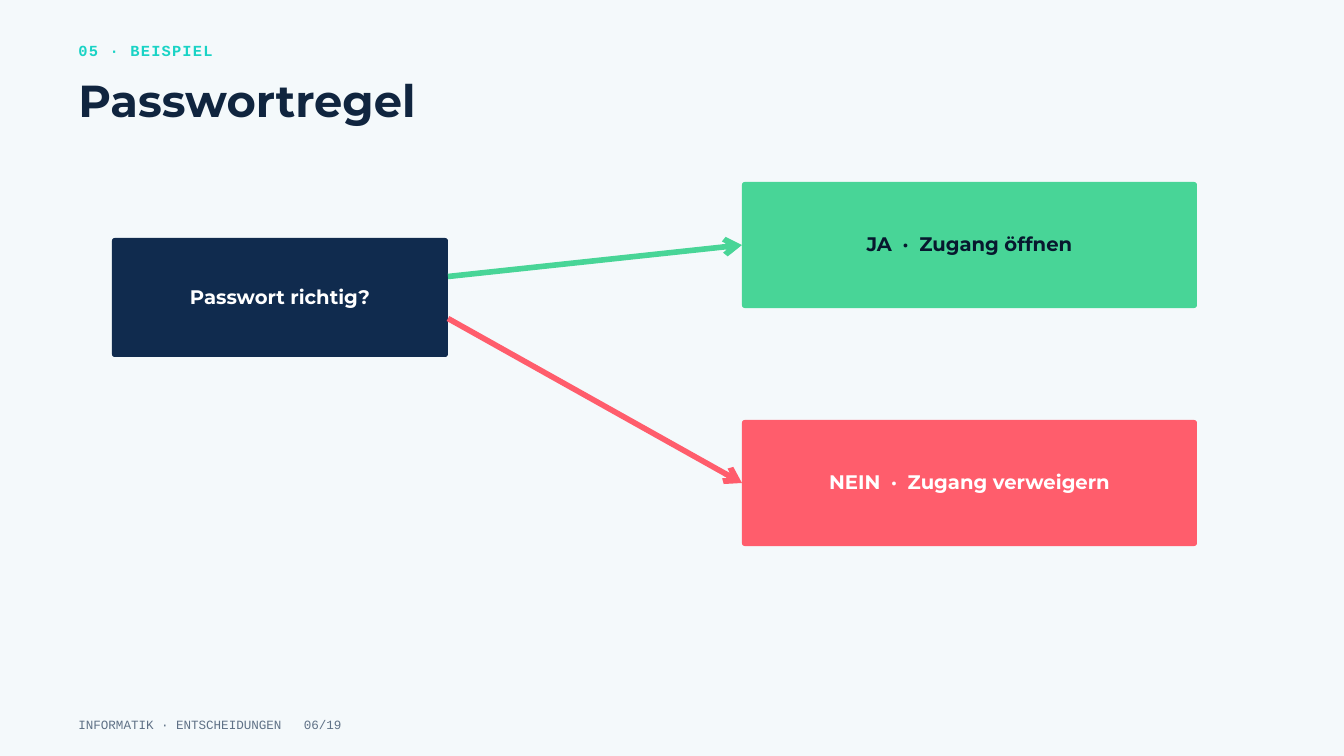
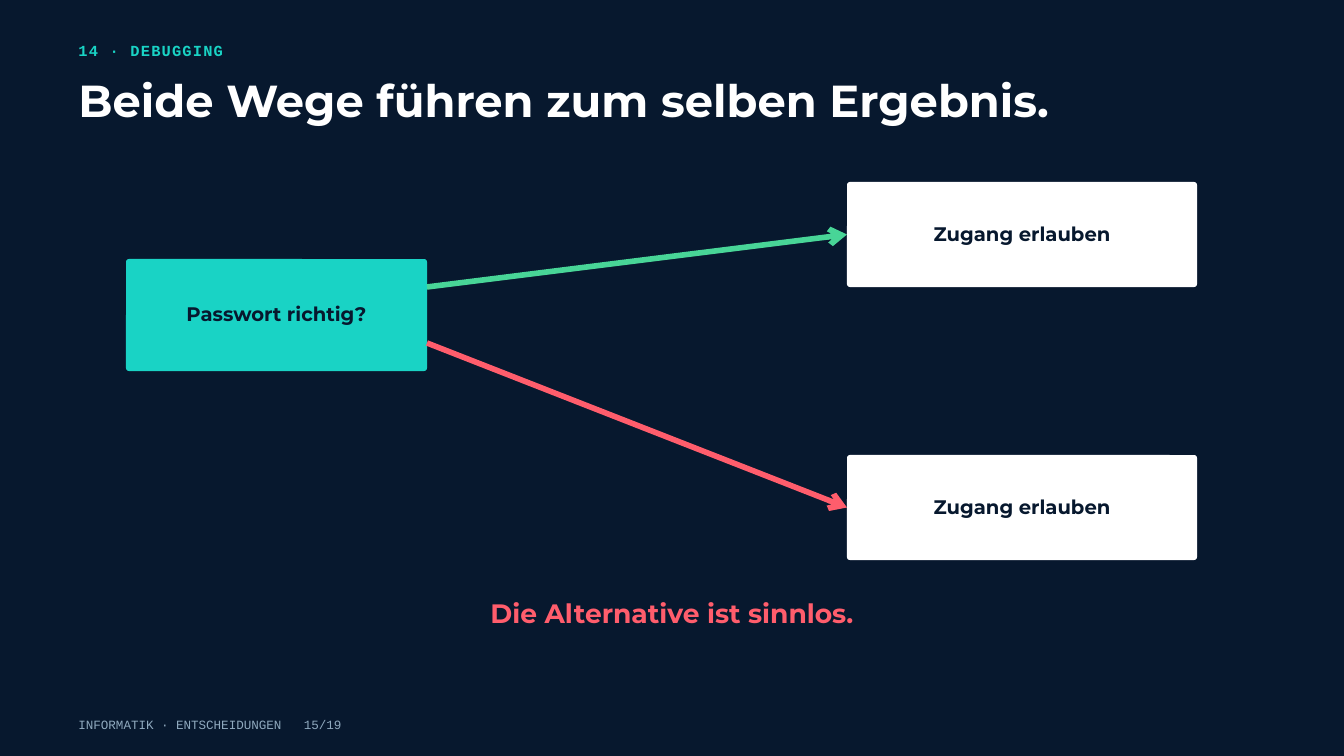
from lxml import etree
from pptx import Presentation
from pptx.dml.color import RGBColor
from pptx.enum import shapes, text
from pptx.oxml.ns import qn
from pptx.util import Emu, Pt

PX = 9525
COLORS = {
    "paper": "F4F9FB", "night": "07182E", "ink": "10253F", "navy": "102B4E",
    "white": "FFFFFF", "teal": "19D3C5", "green": "48D597", "red": "FF5D6C",
    "slate": "5F7186", "mist": "8FA9BE",
}
SANS, MONO = "Montserrat", "Courier New"
COURSE = "INFORMATIK · ENTSCHEIDUNGEN"

# Boxes: (label, (left, top, width, height), fill, font colour)
# Arrow starts lie on the right side of the question box.
SLIDES = [
    {
        "bg": "paper", "title_color": "ink", "footer_color": "slate",
        "kicker": "05 · BEISPIEL", "title": "Passwortregel", "page": "06/19",
        "question": ("Passwort richtig?", (160, 340, 480, 170), "navy", "white"),
        "answers": [
            ("JA · Zugang öffnen", (1060, 260, 650, 180), "green", "night"),
            ("NEIN · Zugang verweigern", (1060, 600, 650, 180), "red", "white"),
        ],
        "arrow_starts": (395, 455),
        "conclusion": None,
    },
    {
        "bg": "night", "title_color": "white", "footer_color": "mist",
        "kicker": "14 · DEBUGGING", "title": "Beide Wege führen zum selben Ergebnis.",
        "page": "15/19",
        "question": ("Passwort richtig?", (180, 370, 430, 160), "teal", "night"),
        "answers": [
            ("Zugang erlauben", (1210, 260, 500, 150), "white", "night"),
            ("Zugang erlauben", (1210, 650, 500, 150), "white", "night"),
        ],
        "arrow_starts": (410, 490),
        "conclusion": "Die Alternative ist sinnlos.",
    },
]
ARROW_COLORS = ("green", "red")


def px(*values):
    return [Emu(v * PX) for v in values]


def rgb(name):
    return RGBColor.from_string(COLORS[name])


def write(sp, runs, size, leading, color, font=SANS, bold=True, align="LEFT", inset=0):
    """Fill one paragraph with (text, letter spacing in points) runs."""
    tf = sp.text_frame
    tf.word_wrap = True
    tf.margin_left = tf.margin_top = tf.margin_right = tf.margin_bottom = Emu(inset * PX)
    p = tf.paragraphs[0]
    p.alignment = getattr(text.PP_ALIGN, align)
    p.line_spacing = Pt(leading)
    for words, spacing in runs:
        r = p.add_run()
        r.text = words
        r.font.name, r.font.size, r.font.bold = font, Pt(size), bold
        r.font.color.rgb = rgb(color)
        if spacing:
            r._r.get_or_add_rPr().set("spc", str(round(spacing * 100)))
    return p


def add_text(slide, at, runs, *style, **options):
    return write(slide.shapes.add_textbox(*px(*at)), runs, *style, **options)


def label_runs(label):
    """Widen the gaps around a middle dot."""
    head, dot, tail = label.partition(" · ")
    if not dot:
        return [(label, 0)]
    return [(head, 0), (" ", 5.5), ("·", 0), (" ", 5.5), (tail, 0)]


def add_box(slide, label, at, fill, color):
    sp = slide.shapes.add_shape(shapes.MSO_SHAPE.ROUNDED_RECTANGLE, *px(*at))
    sp.shadow.inherit = False
    sp.adjustments[0] = 4 / min(at[2:])
    sp.fill.solid()
    sp.fill.fore_color.rgb = rgb(fill)
    sp.line.fill.background()
    sp.text_frame.vertical_anchor = text.MSO_ANCHOR.MIDDLE
    write(sp, label_runs(label), 21, 23.1, color, align="CENTER", inset=6)
    return sp


def add_arrow(slide, x, y, target, color):
    start = px(x, y)
    line = slide.shapes.add_connector(shapes.MSO_CONNECTOR.STRAIGHT, *start, *start)
    line.end_connect(target, 1)
    line.line.color.rgb = rgb(color)
    line.line.width = Pt(6)
    etree.SubElement(line.line._get_or_add_ln(), qn("a:tailEnd"), type="arrow")
    etree.SubElement(line._element.spPr, qn("a:effectLst"))


def add_header(slide, data):
    add_text(slide, (112, 54, 220, 30), [(data["kicker"], 1.3)], 16.5, 23.1, "teal", font=MONO)
    add_text(slide, (112, 111, 1500, 70), [(data["title"], 0)], 48, 51.8, data["title_color"])


def add_footer(slide, data):
    p = add_text(slide, (112, 1021, 700, 24), [(COURSE + "\t" + data["page"], 0)],
                 13.5, 18.9, data["footer_color"], font=MONO, bold=False)
    tabs = etree.SubElement(p._p.get_or_add_pPr(), qn("a:tabLst"))
    etree.SubElement(tabs, qn("a:tab"), pos=str(322 * PX), algn="l")


def add_decision(slide, data):
    add_box(slide, *data["question"])
    left, _, width, _ = data["question"][1]
    targets = [add_box(slide, *answer) for answer in data["answers"]]
    for y, target, color in zip(data["arrow_starts"], targets, ARROW_COLORS):
        add_arrow(slide, left + width, y, target, color)


def main():
    prs = Presentation()
    prs.slide_width, prs.slide_height = px(1920, 1080)
    for data in SLIDES:
        slide = prs.slides.add_slide(prs.slide_layouts[6])
        slide.background.fill.solid()
        slide.background.fill.fore_color.rgb = rgb(data["bg"])
        add_header(slide, data)
        add_decision(slide, data)
        if data["conclusion"]:
            add_text(slide, (480, 845, 960, 51), [(data["conclusion"], 0)],
                     28.5, 39.9, "red", align="CENTER")
        add_footer(slide, data)
    prs.save("out.pptx")


if __name__ == "__main__":
    main()
